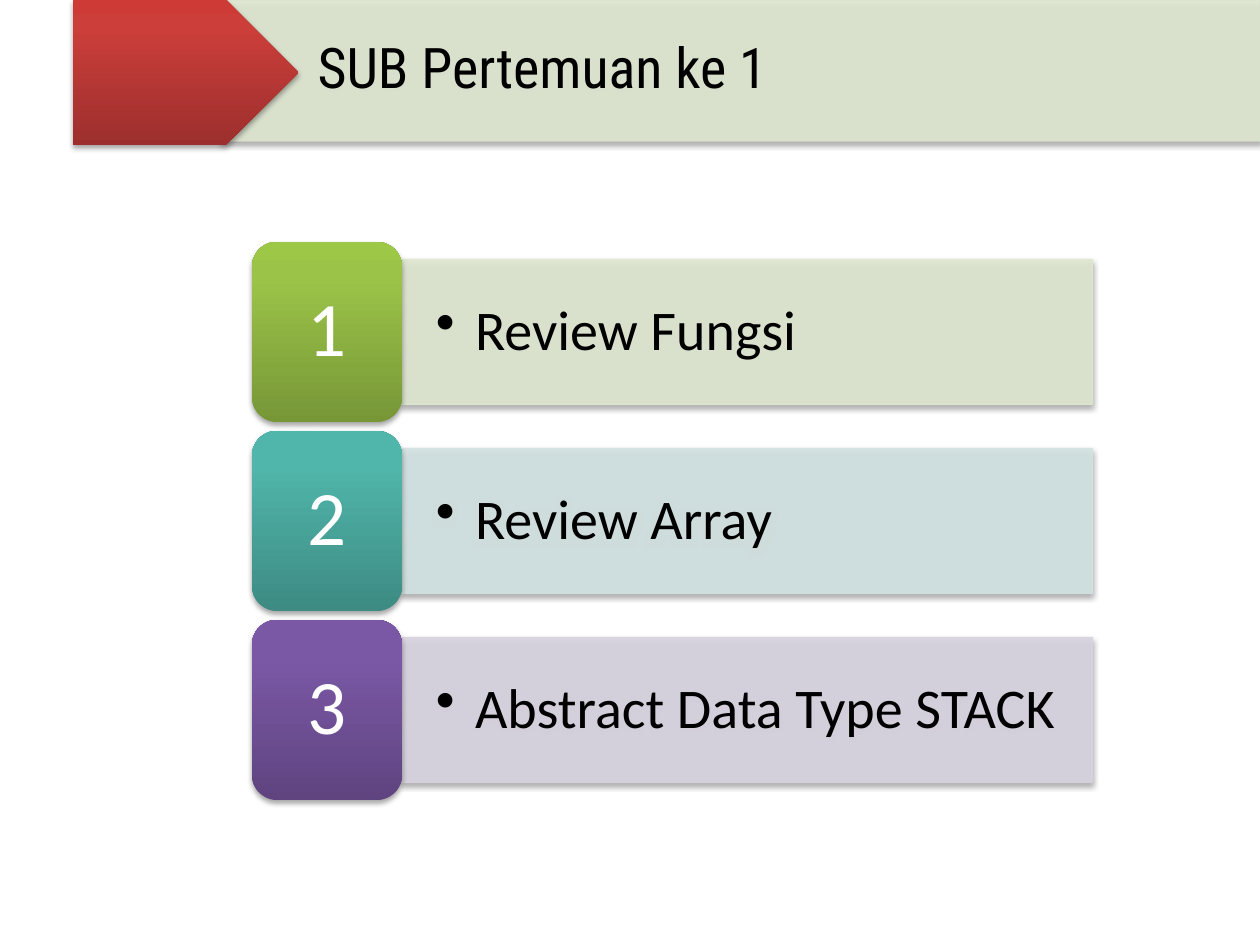
from pptx import Presentation
from pptx import util as u
from pptx.dml.color import RGBColor
from pptx.enum import shapes, text
from pptx.oxml import parse_xml
from pptx.oxml.ns import nsdecls, qn
from lxml import etree

TOPICS = [
    ("Review Fungsi", "DEE7D1", ("779737", "9BC348", "9DC746")),
    ("Review Array", "D2E3E2", ("3D8B83", "50B5AA", "4EB8AC")),
    ("Abstract Data Type STACK", "D8D3E0", ("5F4480", "7B58A6", "7C57A8")),
]
HEADER_REDS = ("9C2F2D", "CB3E3A", "CE3B37")


def color(value):
    return RGBColor.from_string(value)


class AgendaSlide:
    body_font = "Calibri"
    title_font = "Roboto Condensed"
    text_color = "000000"
    badge_color = "FFFFFF"

    def __init__(self, presentation):
        self.slide = presentation.slides.add_slide(presentation.slide_layouts[5])

    def add_shape(self, kind, left, top, width, height):
        return self.slide.shapes.add_shape(
            kind, u.Inches(left), u.Inches(top), u.Inches(width), u.Inches(height))

    def add_shadow(self, shape):
        shape.shadow.inherit = False
        effects = shape._element.spPr.find(qn("a:effectLst"))
        effects.append(parse_xml(
            f'<a:outerShdw {nsdecls("a")} blurRad="{u.Pt(3.1)}" dist="{u.Pt(1.8)}" '
            'dir="5400000" rotWithShape="0"><a:srgbClr val="000000">'
            '<a:alpha val="35000"/></a:srgbClr></a:outerShdw>'))

    def style_panel(self, shape, fill, line):
        """Give a slightly transparent fill and outline, with a shadow."""
        shape.fill.solid()
        shape.fill.fore_color.rgb = color(fill)
        shape.line.color.rgb = color(line)
        shape.line.width = u.Pt(0.75)
        for element in shape._element.spPr.iter(qn("a:srgbClr")):
            etree.SubElement(element, qn("a:alpha"), val="90000")
        self.add_shadow(shape)

    def style_glossy(self, shape, shades):
        """Fill with a gradient that runs from the bottom to the top."""
        shape.fill.gradient()
        gradient = shape._element.spPr.find(qn("a:gradFill"))
        stops = "".join(
            f'<a:gs pos="{position}"><a:srgbClr val="{shade}"/></a:gs>'
            for position, shade in zip((0, 80000, 100000), shades))
        gradient.getparent().replace(gradient, parse_xml(
            f'<a:gradFill {nsdecls("a")} rotWithShape="1"><a:gsLst>{stops}</a:gsLst>'
            '<a:lin ang="16200000" scaled="0"/></a:gradFill>'))
        shape.line.fill.background()
        self.add_shadow(shape)

    def set_text(self, shape, words, size, font, ink, align, margins, bullet=False):
        frame = shape.text_frame
        frame.text = words
        frame.word_wrap = True
        frame.auto_size = text.MSO_AUTO_SIZE.NONE
        frame.vertical_anchor = text.MSO_ANCHOR.MIDDLE
        left, top, right = (u.Inches(margin) for margin in margins)
        frame.margin_left, frame.margin_right = left, right
        frame.margin_top = frame.margin_bottom = top
        paragraph = frame.paragraphs[0]
        paragraph.alignment = align
        paragraph.line_spacing = 0.9
        if bullet:
            properties = paragraph._p.get_or_add_pPr()
            properties.set("marL", str(u.Inches(0.31)))
            properties.set("indent", str(-u.Inches(0.31)))
            etree.SubElement(properties, qn("a:buChar"), char="•")
        run_font = paragraph.runs[0].font
        run_font.name = font
        run_font.size = u.Pt(size)
        run_font.color.rgb = color(ink)

    def add_header(self, words):
        title = self.slide.shapes.title
        title.left, title.top = u.Inches(1.75), u.Inches(0)
        title.width, title.height = u.Inches(8.25), u.Inches(1.12)
        self.style_panel(title, "DEE7D1", "D9E2CC")
        self.set_text(title, words, 32, self.title_font, self.text_color,
                      text.PP_ALIGN.LEFT, (0.77, 0.14, 0.27))
        arrow = self.add_shape(shapes.MSO_SHAPE.PENTAGON, 0.58, 0, 1.79, 1.15)
        self.style_glossy(arrow, HEADER_REDS)

    def add_topic(self, number, words, tint, shades, top):
        bar = self.add_shape(shapes.MSO_SHAPE.RECTANGLE, 3.19, top + 0.14, 5.48, 1.15)
        self.style_panel(bar, tint, tint)
        self.set_text(bar, words, 32, self.body_font, self.text_color,
                      text.PP_ALIGN.LEFT, (0.27, 0.14, 0.27), bullet=True)
        badge = self.add_shape(shapes.MSO_SHAPE.ROUNDED_RECTANGLE, 2, top, 1.19, 1.43)
        self.style_glossy(badge, shades)
        self.set_text(badge, str(number), 44, self.body_font, self.badge_color,
                      text.PP_ALIGN.CENTER, (0.18, 0.09, 0.18))


def main():
    presentation = Presentation()
    presentation.slide_width = u.Inches(10)
    presentation.slide_height = u.Inches(7.5)
    agenda = AgendaSlide(presentation)
    agenda.add_header("SUB Pertemuan ke 1")
    for index, (words, tint, shades) in enumerate(TOPICS):
        agenda.add_topic(index + 1, words, tint, shades, 1.92 + 1.5 * index)
    presentation.save("out.pptx")


if __name__ == "__main__":
    main()
